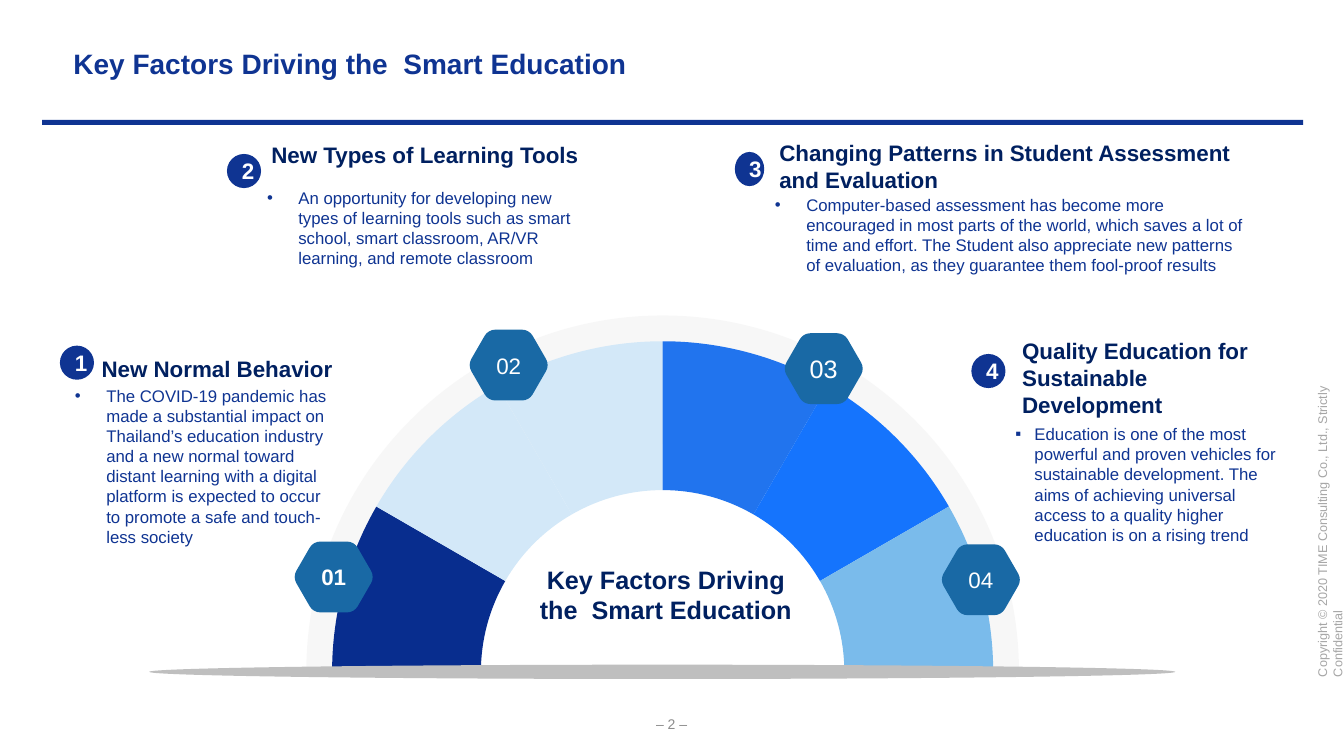
from math import cos, radians, sin, tan

from lxml.etree import SubElement
from pptx import Presentation
from pptx.dml.color import RGBColor
from pptx.enum.shapes import MSO_SHAPE
from pptx.enum.text import MSO_ANCHOR, PP_ALIGN
from pptx.oxml.ns import qn
from pptx.util import Cm, Pt

FONT = "Arial"
BLUE = RGBColor(0x0F, 0x34, 0x92)
NAVY = RGBColor(0x00, 0x20, 0x60)
TEAL = RGBColor(0x19, 0x69, 0xA5)
WHITE = RGBColor(0xFF, 0xFF, 0xFF)
RING_GREY = RGBColor(0xD9, 0xD9, 0xD9)
BASE_GREY = RGBColor(0xBF, 0xBF, 0xBF)
PAGE_GREY = RGBColor(0x8C, 0x8C, 0x8C)
COPYRIGHT_GREY = RGBColor(0xA6, 0xA6, 0xA6)
PALE_BLUE = RGBColor(0xD3, 0xE8, 0xF8)

TITLE = "Key Factors Driving the  Smart Education"
COPYRIGHT = "Copyright © 2020 TIME Consulting Co., Ltd., Strictly Confidential"

# All lengths in centimetres; boxes are left, top, width, height.
FACTORS = [
    {"heading": "New Normal Behavior",
     "body": "The COVID-19 pandemic has made a substantial impact on Thailand’s education "
             "industry and a new normal toward distant learning with a digital platform is "
             "expected to occur to promote a safe and touch-less society",
     "badge": (1.51, 8.71, 0.86, 0.86), "heading_box": (2.56, 8.81, 7.19, 0.94),
     "heading_inset": 0, "anchor": MSO_ANCHOR.BOTTOM,
     "body_box": (1.89, 9.58, 6.48, 4.37), "bullet": "•", "indent": 0.79,
     "hexagon": (8.41, 14.54), "hexagon_size": 16, "hexagon_bold": True},
    {"heading": "New Types of Learning Tools",
     "body": "An opportunity for developing new types of learning tools such as smart school, "
             "smart classroom, AR/VR learning, and remote classroom",
     "badge": (5.72, 3.88, 0.86, 0.86), "heading_box": (6.59, 3.43, 8.38, 0.94),
     "heading_inset": 0.25, "anchor": MSO_ANCHOR.TOP,
     "body_box": (6.73, 4.59, 8.25, 2.31), "bullet": "•", "indent": 0.79,
     "hexagon": (12.82, 9.2), "hexagon_size": 16, "hexagon_bold": False},
    {"heading": "Changing Patterns in Student Assessment and Evaluation",
     "body": "Computer-based assessment has become more encouraged in most parts of the world, "
             "which saves a lot of time and effort. The Student also appreciate new patterns of "
             "evaluation, as they guarantee them fool-proof results",
     "badge": (18.52, 3.83, 0.74, 0.86), "heading_box": (19.39, 3.38, 12.27, 1.63),
     "heading_inset": 0.25, "anchor": MSO_ANCHOR.TOP,
     "body_box": (19.53, 4.77, 11.81, 2.31), "bullet": "•", "indent": 0.79,
     "hexagon": (20.76, 9.29), "hexagon_size": 18, "hexagon_bold": False},
    {"heading": "Quality Education for Sustainable Development",
     "body": "Education is one of the most powerful and proven vehicles for sustainable "
             "development. The aims of achieving universal access to a quality higher education "
             "is on a rising trend",
     "badge": (24.48, 8.92, 0.86, 0.86), "heading_box": (25.76, 8.35, 5.92, 2.31),
     "heading_inset": 0, "anchor": MSO_ANCHOR.BOTTOM,
     "body_box": (25.59, 10.55, 6.78, 3.33), "bullet": "▪", "indent": 0.48,
     "hexagon": (24.72, 14.61), "hexagon_size": 16, "hexagon_bold": False},
]

SECTOR_COLORS = [
    RGBColor(0x08, 0x2D, 0x8E), PALE_BLUE, PALE_BLUE,
    RGBColor(0x21, 0x74, 0xEE), RGBColor(0x15, 0x74, 0xFD), RGBColor(0x7A, 0xBB, 0xEB),
]
ARC_CENTER = (16.7, 16.93)
RING_RADII = (8.98, 5.74)
SECTOR_RADII = (8.33, 4.58)
HEXAGON_RADIUS = 1.03
CORNER_SHARE = 0.17  # part of each hexagon side taken by a rounded corner

presentation = Presentation()
presentation.slide_width, presentation.slide_height = Cm(33.87), Cm(19.05)
slide = presentation.slides.add_slide(presentation.slide_layouts[6])


def paint(shape, color):
    shape.shadow.inherit = False
    shape.fill.solid()
    shape.fill.fore_color.rgb = color
    shape.line.fill.background()
    return shape


def add_preset(kind, box, color):
    return paint(slide.shapes.add_shape(kind, *map(Cm, box)), color)


def add_outline(start, segments, color):
    """Closed outline; a segment of one point is a line, of three a Bezier curve."""
    points = [(Cm(x), Cm(y)) for segment in segments for x, y in segment]
    builder = slide.shapes.build_freeform(Cm(start[0]), Cm(start[1]))
    builder.add_line_segments(points, close=True)
    shape = builder.convert_to_shape()
    lines = iter(list(shape._element.iter(qn("a:lnTo"))))
    for segment in segments:
        first, *others = [next(lines) for _ in segment]
        if others:
            first.tag = qn("a:cubicBezTo")
        for line in others:
            first.append(line[0])
            line.getparent().remove(line)
    return paint(shape, color)


def write(shape, text, size, color, bold=False, align=PP_ALIGN.LEFT,
          anchor=MSO_ANCHOR.TOP, insets=(0.25, 0.13), bullet=None, indent=0):
    """Put one paragraph in the shape; insets are horizontal, vertical."""
    frame = shape.text_frame
    frame.word_wrap = True
    frame.vertical_anchor = anchor
    frame.margin_left = frame.margin_right = Cm(insets[0])
    frame.margin_top = frame.margin_bottom = Cm(insets[1])
    paragraph = frame.paragraphs[0]
    if bullet:
        properties = paragraph._p.get_or_add_pPr()
        properties.set("marL", str(Cm(indent)))
        properties.set("indent", str(-Cm(indent)))
        SubElement(properties, qn("a:buFont")).set("typeface", FONT)
        SubElement(properties, qn("a:buChar")).set("char", bullet)
    paragraph.alignment = align
    run = paragraph.add_run()
    run.text = text
    run.font.name, run.font.size, run.font.bold = FONT, Pt(size), bold
    run.font.color.rgb = color


def add_text(box, *content, **style):
    shape = slide.shapes.add_textbox(*map(Cm, box))
    write(shape, *content, **style)
    return shape


def polar(center, radius, degrees):
    angle = radians(degrees)
    return center[0] + radius * cos(angle), center[1] + radius * sin(angle)


def blend(first, second, share):
    return tuple(a + (b - a) * share for a, b in zip(first, second))


def arc_curve(radius, start, end):
    """Bezier curve along a circle of at most a quarter turn."""
    reach = 4 / 3 * tan(radians(end - start) / 4) * radius
    first, last = (polar(ARC_CENTER, radius, angle) for angle in (start, end))
    return polar(first, reach, start + 90), polar(last, -reach, end + 90), last


def add_ring_part(radii, angles, color):
    """Ring segment with one curve between each pair of neighbouring angles."""
    outer, inner = radii
    back = angles[::-1]
    segments = [arc_curve(outer, a, b) for a, b in zip(angles, angles[1:])]
    segments.append((polar(ARC_CENTER, inner, back[0]),))
    segments += [arc_curve(inner, a, b) for a, b in zip(back, back[1:])]
    return add_outline(polar(ARC_CENTER, outer, angles[0]), segments, color)


def add_hexagon(center):
    """Regular hexagon with rounded corners."""
    corners = [polar(center, HEXAGON_RADIUS, 60 * i) for i in range(6)]
    segments = []
    for i, corner in enumerate(corners):
        start = blend(corner, corners[i - 1], CORNER_SHARE)
        end = blend(corner, corners[(i + 1) % 6], CORNER_SHARE)
        segments += [(start,), (blend(start, corner, 0.6), blend(end, corner, 0.6), end)]
    return add_outline(segments[0][0], segments[1:], TEAL)


# Frame of the slide
add_text((15.67, 17.98, 2.51, 0.53), "– 2 –", 10, PAGE_GREY,
         align=PP_ALIGN.CENTER, anchor=MSO_ANCHOR.MIDDLE)
copyright_box = add_text((28.85, 12.52, 8.94, 0.64), COPYRIGHT, 9, COPYRIGHT_GREY)
copyright_box.rotation = 270
add_preset(MSO_SHAPE.RECTANGLE, (1.06, 3.02, 31.78, 0.13), BLUE)
add_text((1.6, 1.04, 27.79, 1.12), TITLE, 20, BLUE, bold=True)

# Half ring with its sectors
ring = add_ring_part(RING_RADII, (180, 270, 360), RING_GREY)
ring_color = ring.fill._xPr.find(qn("a:solidFill"))[0]
SubElement(ring_color, qn("a:alpha")).set("val", "20000")
sweep = 180 // len(SECTOR_COLORS)
for i, color in enumerate(SECTOR_COLORS):
    start = 180 + i * sweep
    add_ring_part(SECTOR_RADII, (start, start + sweep), color)
add_preset(MSO_SHAPE.OVAL, (3.76, 16.75, 25.86, 0.36), BASE_GREY)
add_text((13.06, 14.09, 7.44, 1.8), TITLE, 18, NAVY, bold=True, align=PP_ALIGN.CENTER)

# Factors
centered = {"align": PP_ALIGN.CENTER, "anchor": MSO_ANCHOR.MIDDLE}
for number, factor in enumerate(FACTORS, 1):
    add_text(factor["heading_box"], factor["heading"], 16, NAVY, bold=True,
             anchor=factor["anchor"], insets=(factor["heading_inset"], 0.13))
    add_text(factor["body_box"], factor["body"], 12, BLUE, insets=(0, 0.13),
             bullet=factor["bullet"], indent=factor["indent"])
    badge = add_preset(MSO_SHAPE.OVAL, factor["badge"], BLUE)
    write(badge, str(number), 16, WHITE, bold=True, **centered)
    write(add_hexagon(factor["hexagon"]), f"{number:02}", factor["hexagon_size"], WHITE,
          bold=factor["hexagon_bold"], insets=(0.1, 0.1), **centered)

presentation.save("out.pptx")
